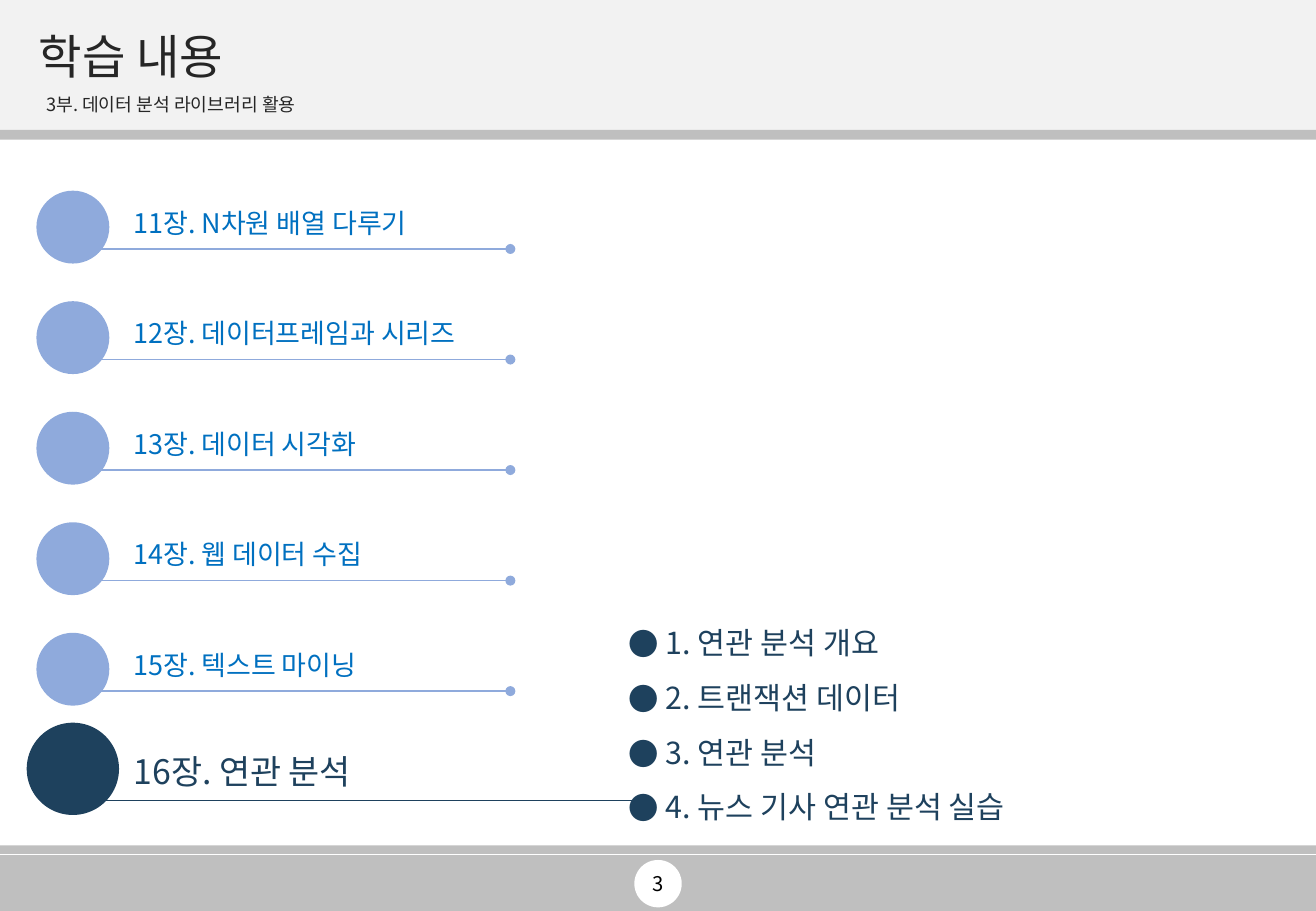
from dataclasses import dataclass

from lxml import etree
from pptx import Presentation
from pptx import util as u
from pptx.dml.color import RGBColor
from pptx.enum import shapes, text
from pptx.oxml.ns import qn


@dataclass(frozen=True)
class Theme:
    font: str = "Noto Sans CJK KR"
    white: str = "FFFFFF"
    black: str = "000000"
    band: str = "F2F2F2"
    bar: str = "BFBFBF"
    heading: str = "262626"
    chapter: str = "0070C0"
    marker: str = "8FAADC"
    current: str = "1E415D"
    title_size: float = 28
    subtitle_size: float = 10.8
    chapter_size: float = 16
    current_size: float = 20
    topic_size: float = 18
    page_size: float = 12
    line_width: float = 1


THEME = Theme()
CHAPTERS = ["11장. N차원 배열 다루기", "12장. 데이터프레임과 시리즈",
            "13장. 데이터 시각화", "14장. 웹 데이터 수집", "15장. 텍스트 마이닝"]
CURRENT_CHAPTER = "16장. 연관 분석"
TOPICS = ["1. 연관 분석 개요", "2. 트랜잭션 데이터", "3. 연관 분석",
          "4. 뉴스 기사 연관 분석 실습"]
FIRST_TOP, PITCH = 1.57, 0.91


def place(shape, left, top, width, height):
    shape.left, shape.top = u.Inches(left), u.Inches(top)
    shape.width, shape.height = u.Inches(width), u.Inches(height)


def set_bullet(paragraph, bullet, indent):
    properties = paragraph._p.get_or_add_pPr()
    properties.set("marL", str(u.Inches(indent)))
    properties.set("indent", str(-u.Inches(indent)))
    if bullet:
        etree.SubElement(properties, qn("a:buFont"), typeface=THEME.font)
        etree.SubElement(properties, qn("a:buChar"), char=bullet)
    else:
        etree.SubElement(properties, qn("a:buNone"))


def write_text(shape, lines, *, size, color, align=text.PP_ALIGN.LEFT,
               anchor=text.MSO_ANCHOR.TOP, spacing=1.0, before=0,
               bullet=None, indent=0):
    frame = shape.text_frame
    frame.word_wrap = True
    frame.auto_size = text.MSO_AUTO_SIZE.NONE
    frame.vertical_anchor = anchor
    frame.text = "\n".join(lines)
    for paragraph in frame.paragraphs:
        paragraph.alignment = align
        paragraph.line_spacing = spacing
        paragraph.space_before = u.Pt(before)
        set_bullet(paragraph, bullet, indent)
        font = paragraph.runs[0].font
        font.name = THEME.font
        font.size = u.Pt(size)
        font.color.rgb = RGBColor.from_string(color)
        etree.SubElement(font._element, qn("a:ea"), typeface=THEME.font)


def add_block(slide, kind, box, color):
    shape = slide.shapes.add_shape(kind, *map(u.Inches, box))
    shape.shadow.inherit = False
    shape.fill.solid()
    shape.fill.fore_color.rgb = RGBColor.from_string(color)
    shape.line.fill.background()


def add_text(slide, box, lines, **style):
    write_text(slide.shapes.add_textbox(*map(u.Inches, box)), lines, **style)


def add_dotted_end_line(slide, left, right, top, color):
    line = slide.shapes.add_connector(
        shapes.MSO_CONNECTOR.STRAIGHT, u.Inches(left), u.Inches(top),
        u.Inches(right), u.Inches(top))
    line.line.color.rgb = RGBColor.from_string(color)
    line.line.width = u.Pt(THEME.line_width)
    etree.SubElement(line.line._get_or_add_ln(), qn("a:tailEnd"), type="oval")
    etree.SubElement(line._element.spPr, qn("a:effectLst"))


def add_chapter(slide, label, circle, label_top, line_top, line_end, *,
                marker, size, color):
    left, top, diameter = circle
    add_dotted_end_line(slide, 0.79, line_end, line_top, marker)
    add_block(slide, shapes.MSO_SHAPE.OVAL, (left, top, diameter, diameter), marker)
    add_text(slide, (1, label_top, 4.62, 0.4), [label], size=size, color=color)


def add_frame(slide):
    rectangle = shapes.MSO_SHAPE.RECTANGLE
    for top, height, color in [(0, 1.07, THEME.band), (1.07, 0.08, THEME.bar),
                               (6.96, 0.07, THEME.bar), (7.04, 0.46, THEME.bar)]:
        add_block(slide, rectangle, (0, top, 10.83, height), color)
    add_block(slide, shapes.MSO_SHAPE.OVAL, (5.22, 7.08, 0.39, 0.39), THEME.white)
    add_text(slide, (4.2, 7.08, 2.44, 0.39), ["3"], size=THEME.page_size,
             color=THEME.black, align=text.PP_ALIGN.CENTER,
             anchor=text.MSO_ANCHOR.MIDDLE)


def fill_placeholders(slide):
    title, subtitle, topics = slide.placeholders
    place(title, 0.22, 0.21, 10.39, 0.55)
    write_text(title, ["학습 내용"], size=THEME.title_size, color=THEME.heading,
               anchor=text.MSO_ANCHOR.MIDDLE, spacing=0.9)
    place(subtitle, 0.3, 0.76, 10.32, 0.24)
    subtitle.text_frame.margin_left = u.Inches(0.08)
    write_text(subtitle, ["3부. 데이터 분석 라이브러리 활용"],
               size=THEME.subtitle_size, color=THEME.heading,
               anchor=text.MSO_ANCHOR.MIDDLE, spacing=0.7, before=8.1)
    place(topics, 5.07, 4.94, 4.6, 1.92)
    write_text(topics, TOPICS, size=THEME.topic_size, color=THEME.current,
               spacing=1.5, bullet="●", indent=0.31)
    # Placeholders sit in front of the header band
    for placeholder in (title, subtitle, topics):
        slide.shapes._spTree.append(placeholder._element)


def main():
    presentation = Presentation()
    presentation.slide_width = u.Inches(10.83)
    presentation.slide_height = u.Inches(7.5)
    slide = presentation.slides.add_slide(presentation.slide_layouts[3])

    # Header, footer and page number
    add_frame(slide)

    # Chapter list
    for index, label in enumerate(CHAPTERS):
        top = FIRST_TOP + index * PITCH
        add_chapter(slide, label, (0.3, top, 0.6), top + 0.08, top + 0.48, 4.2,
                    marker=THEME.marker, size=THEME.chapter_size,
                    color=THEME.chapter)

    # Current chapter
    add_chapter(slide, CURRENT_CHAPTER, (0.22, 5.95, 0.76), 6.13, 6.59, 5.26,
                marker=THEME.current, size=THEME.current_size,
                color=THEME.current)

    # Title, subtitle and topics
    fill_placeholders(slide)
    presentation.save("out.pptx")


if __name__ == "__main__":
    main()
